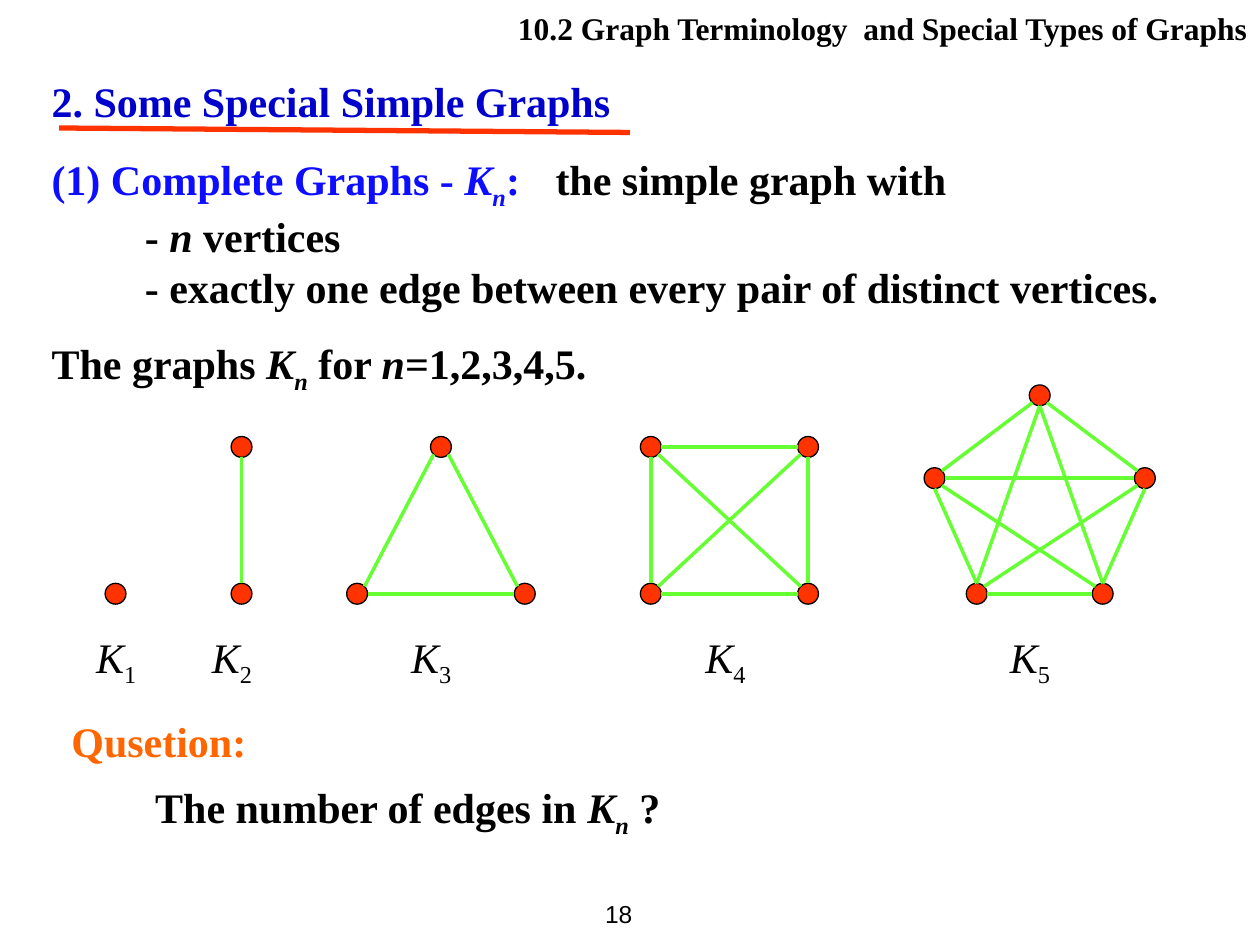
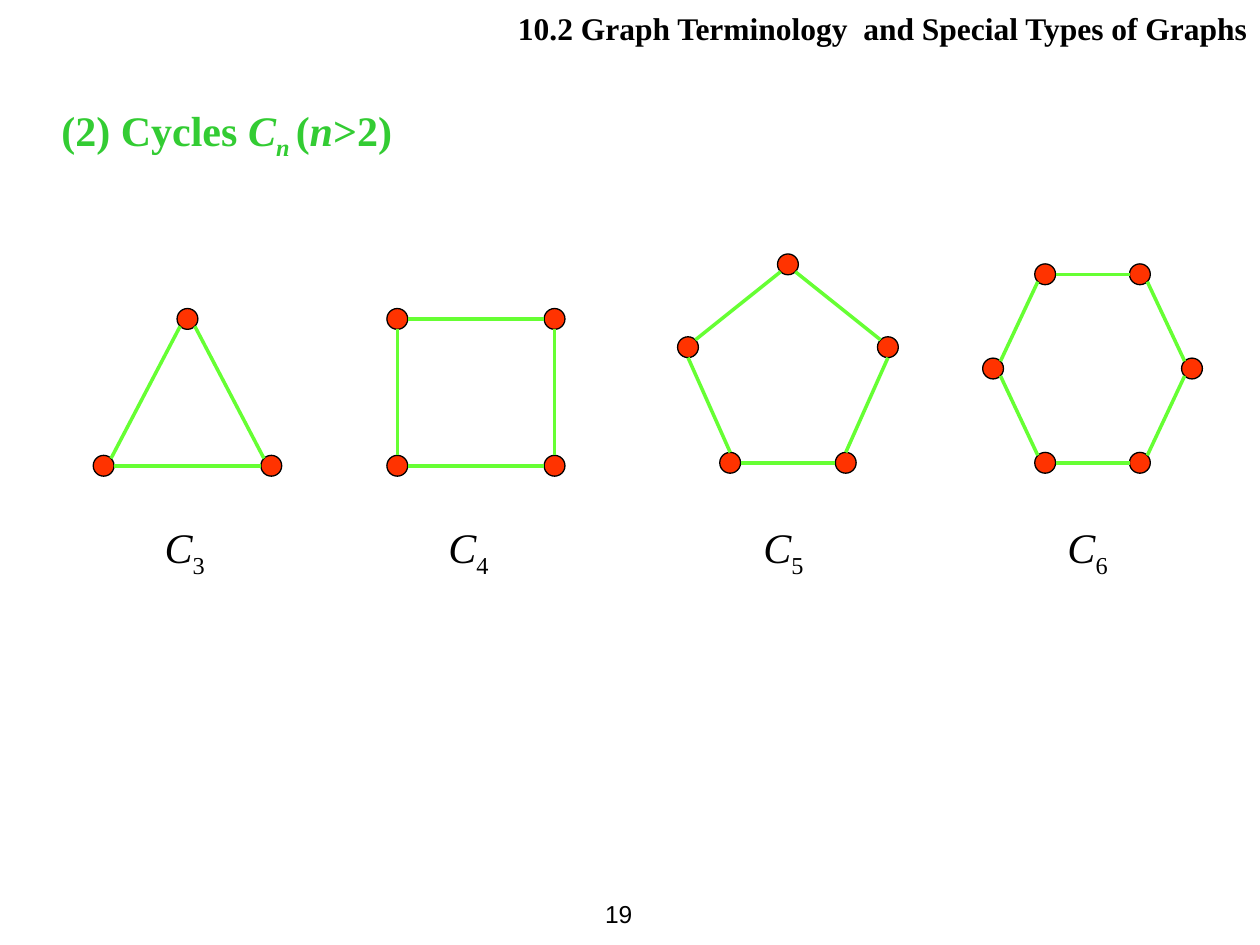
from dataclasses import dataclass
from itertools import combinations
from math import atan2, cos, pi, sin

from lxml.etree import SubElement
from pptx import Presentation
from pptx.dml.color import RGBColor
from pptx.enum.shapes import MSO_CONNECTOR, MSO_SHAPE
from pptx.enum.text import MSO_ANCHOR, PP_ALIGN
from pptx.oxml.ns import qn
from pptx.util import Cm, Pt


@dataclass(frozen=True)
class Theme:
    serif: str = "Times New Roman"
    sans: str = "Arial"
    black: str = "000000"
    navy: str = "0000CC"
    blue: str = "0D0DFF"
    green: str = "33CC33"
    orange: str = "FF6600"
    red: str = "FF3300"
    lime: str = "66FF33"
    body: int = 24
    head: int = 18
    page: int = 14
    dot: float = 0.42


THEME = Theme()
HEADER = "10.2 Graph Terminology  and Special Types of Graphs"


def rgb(code):
    return RGBColor.from_string(code)


def add_box(slide, left, top, width, height, wrap=True):
    frame = slide.shapes.add_textbox(Cm(left), Cm(top), Cm(width), Cm(height)).text_frame
    frame.word_wrap = wrap
    return frame


def add_text(frame, runs, color=THEME.black, size=THEME.body, face=THEME.serif,
             bold=True, align=PP_ALIGN.LEFT, before=0, indent=0):
    """Each run is (text, marks, colour): marks hold i for italic and s for subscript."""
    first = frame.paragraphs[0]
    para = frame.add_paragraph() if first.runs else first
    para.alignment = align
    para.space_before = Pt(before)
    para.font.name, para.font.size, para.font.bold = face, Pt(size), bold
    tints = {tint for _, _, *rest in runs for tint in rest}
    if not tints:
        para.font.color.rgb = rgb(color)
    if indent:
        para._p.get_or_add_pPr().set("marL", str(Cm(indent)))
    for text, marks, *rest in runs:
        run = para.add_run()
        run.text = text
        if "i" in marks:
            run.font.italic = True
        if "s" in marks:
            run._r.get_or_add_rPr().set("baseline", "-25000")
        if tints:
            run.font.color.rgb = rgb(rest[0] if rest else color)


def add_line(shapes, start, end, color, width):
    line = shapes.add_connector(MSO_CONNECTOR.STRAIGHT, *map(Cm, (*start, *end)))
    line.line.color.rgb = rgb(color)
    line.line.width = Pt(width)
    SubElement(line._element.spPr, qn("a:effectLst"))


def add_dot(shapes, x, y):
    size = THEME.dot
    dot = shapes.add_shape(MSO_SHAPE.FLOWCHART_CONNECTOR,
                           Cm(x - size / 2), Cm(y - size / 2), Cm(size), Cm(size))
    dot.shadow.inherit = False
    dot.fill.solid()
    dot.fill.fore_color.rgb = rgb(THEME.red)
    dot.line.color.rgb = rgb(THEME.black)
    dot.line.width = Pt(0.75)


def rim(start, end):
    step = pi / 4
    angle = round(atan2(end[1] - start[1], end[0] - start[0]) / step) * step
    radius = THEME.dot / 2
    return start[0] + radius * cos(angle), start[1] + radius * sin(angle)


def add_graph(slide, left, base, outline, pair):
    points = [(left + x, base - y) for x, y in outline]
    shapes = slide.shapes
    if len(points) > 1:
        shapes = shapes.add_group_shape().shapes
    for point in points:
        add_dot(shapes, *point)
    for start, end in pair(points):
        add_line(shapes, rim(start, end), rim(end, start), THEME.lime, 2)


def add_label(slide, letter, count, left, top):
    frame = add_box(slide, left, top, 1.8, 1.42)
    add_text(frame, [(letter, "i"), (str(count), "s")], bold=False)


def add_row(slide, letter, top, graphs, pair):
    for left, base, outline, place in graphs:
        add_graph(slide, left, base, outline, pair)
        add_label(slide, letter, len(outline), place, top)


def all_pairs(points):
    return combinations(points, 2)


def ring(points):
    return zip(points, points[1:] + points[:1])


def five(base):
    return [(0, 0), (base, 0), (base + 0.85, 2.33), (base / 2, 4), (-0.85, 2.33)]


DOT = [(0, 0)]
PAIR = [(0, 0), (0, 2.96)]
THREE = [(0, 0), (3.38, 0), (1.69, 2.96)]
FOUR = [(0, 0), (3.17, 0), (3.17, 2.96), (0, 2.96)]
SIX = [(0, 0), (1.91, 0), (2.96, 1.9), (1.91, 3.8), (0, 3.8), (-1.05, 1.9)]


def new_slide(deck, number):
    slide = deck.slides.add_slide(deck.slide_layouts[6])
    add_text(add_box(slide, 10.11, 0.05, 15.29, 1.78), [(HEADER, "")],
             size=THEME.head, align=PP_ALIGN.RIGHT)
    page = add_box(slide, 11.3, 17.78, 1.7, 1.27, wrap=False)
    page.vertical_anchor = MSO_ANCHOR.MIDDLE
    add_text(page, [(str(number), "")], size=THEME.page, face=THEME.sans,
             bold=False, align=PP_ALIGN.RIGHT)
    return slide


def complete(deck):
    slide = new_slide(deck, 18)
    add_text(add_box(slide, 0.79, 1.4, 12.8, 1.27),
             [("2. Some Special Simple Graphs", "")], THEME.navy)
    add_line(slide.shapes, (1.19, 2.58), (12.7, 2.67), THEME.red, 3)

    body = add_box(slide, 0.79, 2.97, 23.39, 5.13)
    add_text(body, [("(1) Complete Graphs - ", ""), ("K", "i"), ("n", "is"), (":", ""),
                    ("\tthe simple graph with", "", THEME.black)], THEME.blue)
    add_text(body, [("- ", ""), ("n", "i"), (" vertices", "")], indent=1.88)
    add_text(body, [("- exactly one edge between every pair of distinct vertices.", "")],
             indent=1.88)
    add_text(body, [("The graphs", ""), (" K", "i"), ("n", "is"), (" for ", ""),
                    ("n", "i"), ("=1,2,3,4,5.", "")], before=15)

    base = 11.97
    add_row(slide, "K", 12.6, [
        (2.33, base, DOT, 1.69),
        (4.87, base, PAIR, 4.02),
        (7.2, base, THREE, 8.04),
        (13.12, base, FOUR, 13.97),
        (19.69, base, five(2.54), 20.11),
    ], all_pairs)

    ask = add_box(slide, 1.19, 14.3, 22.4, 2.74)
    add_text(ask, [("Qusetion:", "")], THEME.orange)
    add_text(ask, [("The number of edges in ", ""), ("K", "i"), ("n", "is"), (" ?", "")],
             before=9, indent=1.69)


def cycles(deck):
    slide = new_slide(deck, 19)
    add_text(add_box(slide, 0.99, 1.98, 23.39, 1.4),
             [("(2) Cycles ", ""), ("C", "i"), ("n ", "is"), ("(", ""), ("n", "i"),
              (">2)", "")], THEME.green)
    add_row(slide, "C", 10.39, [
        (2.09, 9.39, THREE, 3.07),
        (8.01, 9.39, FOUR, 8.79),
        (14.72, 9.33, five(2.33), 15.14),
        (21.07, 9.33, SIX, 21.27),
    ], ring)


def main():
    deck = Presentation()
    deck.slide_width, deck.slide_height = Cm(25.4), Cm(19.05)
    complete(deck)
    cycles(deck)
    deck.save("out.pptx")


if __name__ == "__main__":
    main()
